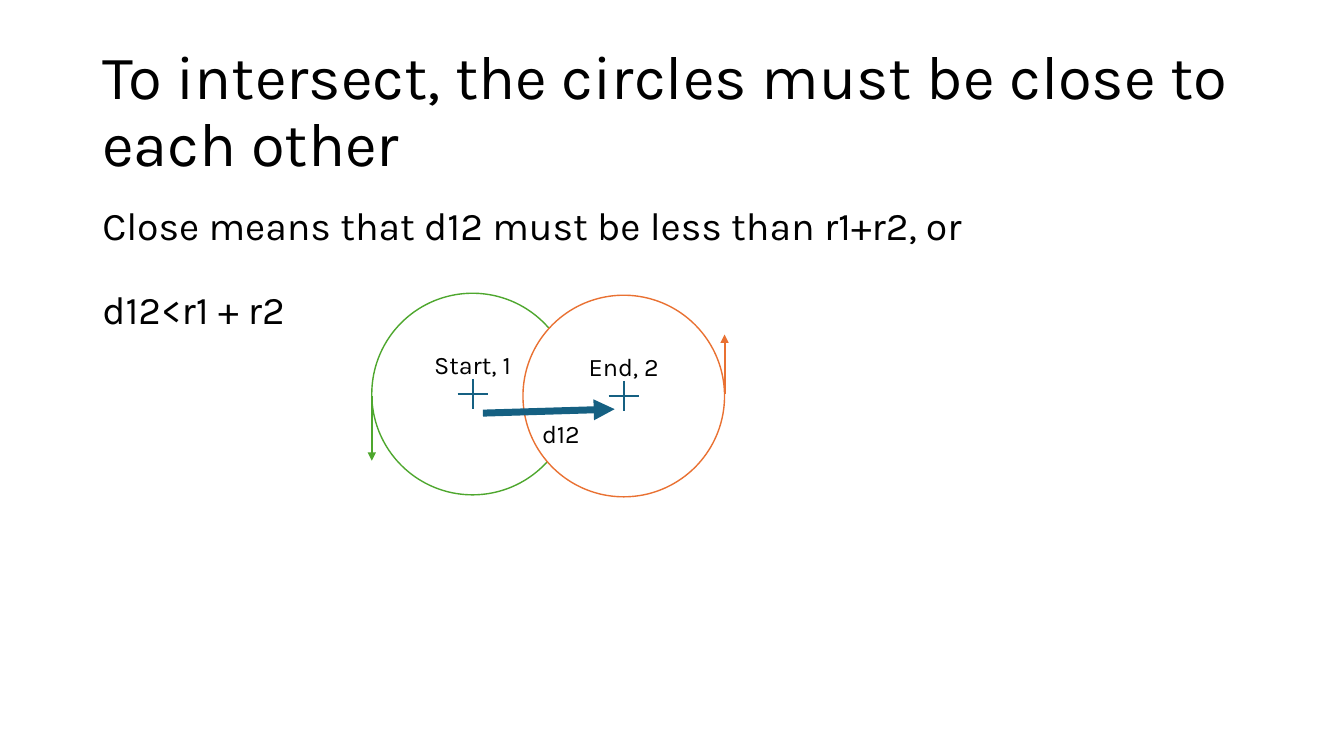
from dataclasses import dataclass

from lxml import etree
from pptx import Presentation
from pptx.dml.color import RGBColor
from pptx.enum import shapes, text
from pptx.oxml import ns
from pptx.util import Cm, Pt

FONT = "Karla"
BLACK = RGBColor(0x00, 0x00, 0x00)
WHITE = RGBColor(0xFF, 0xFF, 0xFF)
GREEN = RGBColor(0x4E, 0xA7, 0x2E)
ORANGE = RGBColor(0xE9, 0x71, 0x32)
TEAL = RGBColor(0x15, 0x60, 0x82)

RADIUS = 2.54
CROSS_ARM = 0.38


@dataclass(frozen=True)
class Circle:
    label: str
    x: float
    y: float
    color: RGBColor


@dataclass(frozen=True)
class Line:
    x1: float
    y1: float
    x2: float
    y2: float
    color: RGBColor
    width: float = 1.5
    arrow: bool = False


@dataclass(frozen=True)
class TextBlock:
    lines: tuple[str, ...]
    x: float
    y: float
    width: float
    height: float
    size: int
    line_spacing: float = 1.0
    gaps: tuple[int, ...] = (0,)
    anchor: text.MSO_ANCHOR = text.MSO_ANCHOR.TOP
    wrap: bool = True


START = Circle("Start, 1", 11.91, 9.93, GREEN)
END = Circle("End, 2", 15.72, 9.98, ORANGE)

ARROWS = (
    Line(START.x - RADIUS, 9.98, START.x - RADIUS, 11.61, GREEN, arrow=True),
    Line(END.x + RADIUS, 9.93, END.x + RADIUS, 8.43, ORANGE, arrow=True),
    Line(12.17, 10.41, 15.49, 10.31, TEAL, 5, arrow=True),
)

TITLE = TextBlock(
    ("To intersect, the circles must be close to each other",),
    2.33, 1.01, 29.21, 3.68, 44, 0.9, anchor=text.MSO_ANCHOR.MIDDLE,
)
EXPLANATION = TextBlock(
    ("Close means that d12 must be less than r1+r2, or", "d12<r1 + r2"),
    2.33, 5.07, 29.21, 12.09, 28, 0.9, gaps=(10, 30),
)
DISTANCE = TextBlock(("d12",), 13.41, 10.41, 1.55, 1.03, 18, wrap=False)


def add_run(paragraph, words: str, size: int) -> None:
    run = paragraph.add_run()
    run.text = words
    run.font.name = FONT
    run.font.size = Pt(size)
    run.font.color.rgb = BLACK


def add_text(slide, block: TextBlock) -> None:
    box = slide.shapes.add_textbox(
        Cm(block.x), Cm(block.y), Cm(block.width), Cm(block.height)
    )
    frame = box.text_frame
    frame.word_wrap = block.wrap
    frame.vertical_anchor = block.anchor
    for index, (words, gap) in enumerate(zip(block.lines, block.gaps)):
        paragraph = frame.add_paragraph() if index else frame.paragraphs[0]
        paragraph.line_spacing = block.line_spacing
        paragraph.space_before = Pt(gap)
        add_run(paragraph, words, block.size)


def add_line(slide, line: Line) -> None:
    connector = slide.shapes.add_connector(
        shapes.MSO_CONNECTOR.STRAIGHT,
        Cm(line.x1), Cm(line.y1), Cm(line.x2), Cm(line.y2),
    )
    connector.line.color.rgb = line.color
    connector.line.width = Pt(line.width)
    if line.arrow:
        outline = connector.line._get_or_add_ln()
        etree.SubElement(outline, ns.qn("a:tailEnd"), type="triangle")
    etree.SubElement(connector._element.spPr, ns.qn("a:effectLst"))


def add_circle(slide, circle: Circle) -> None:
    """Draw a labelled circle with a cross at its centre."""
    x, y = circle.x, circle.y
    disc = slide.shapes.add_shape(
        shapes.MSO_SHAPE.OVAL,
        Cm(x - RADIUS), Cm(y - RADIUS), Cm(2 * RADIUS), Cm(2 * RADIUS),
    )
    disc.shadow.inherit = False
    disc.fill.solid()
    disc.fill.fore_color.rgb = WHITE
    disc.line.color.rgb = circle.color
    disc.line.width = Pt(1)
    frame = disc.text_frame
    frame.word_wrap = True
    frame.vertical_anchor = text.MSO_ANCHOR.MIDDLE
    frame.margin_bottom = Cm(1.6)  # lifts the label above the cross
    label = frame.paragraphs[0]
    label.alignment = text.PP_ALIGN.CENTER
    add_run(label, circle.label, 18)
    add_line(slide, Line(x, y - CROSS_ARM, x, y + CROSS_ARM, TEAL))
    add_line(slide, Line(x - CROSS_ARM, y, x + CROSS_ARM, y, TEAL))


def main() -> None:
    deck = Presentation()
    deck.slide_width, deck.slide_height = Cm(33.87), Cm(19.05)
    slide = deck.slides.add_slide(deck.slide_layouts[6])
    add_text(slide, TITLE)
    add_text(slide, EXPLANATION)
    for circle in (START, END):
        add_circle(slide, circle)
    for arrow in ARROWS:
        add_line(slide, arrow)
    add_text(slide, DISTANCE)
    deck.save("out.pptx")


if __name__ == "__main__":
    main()
